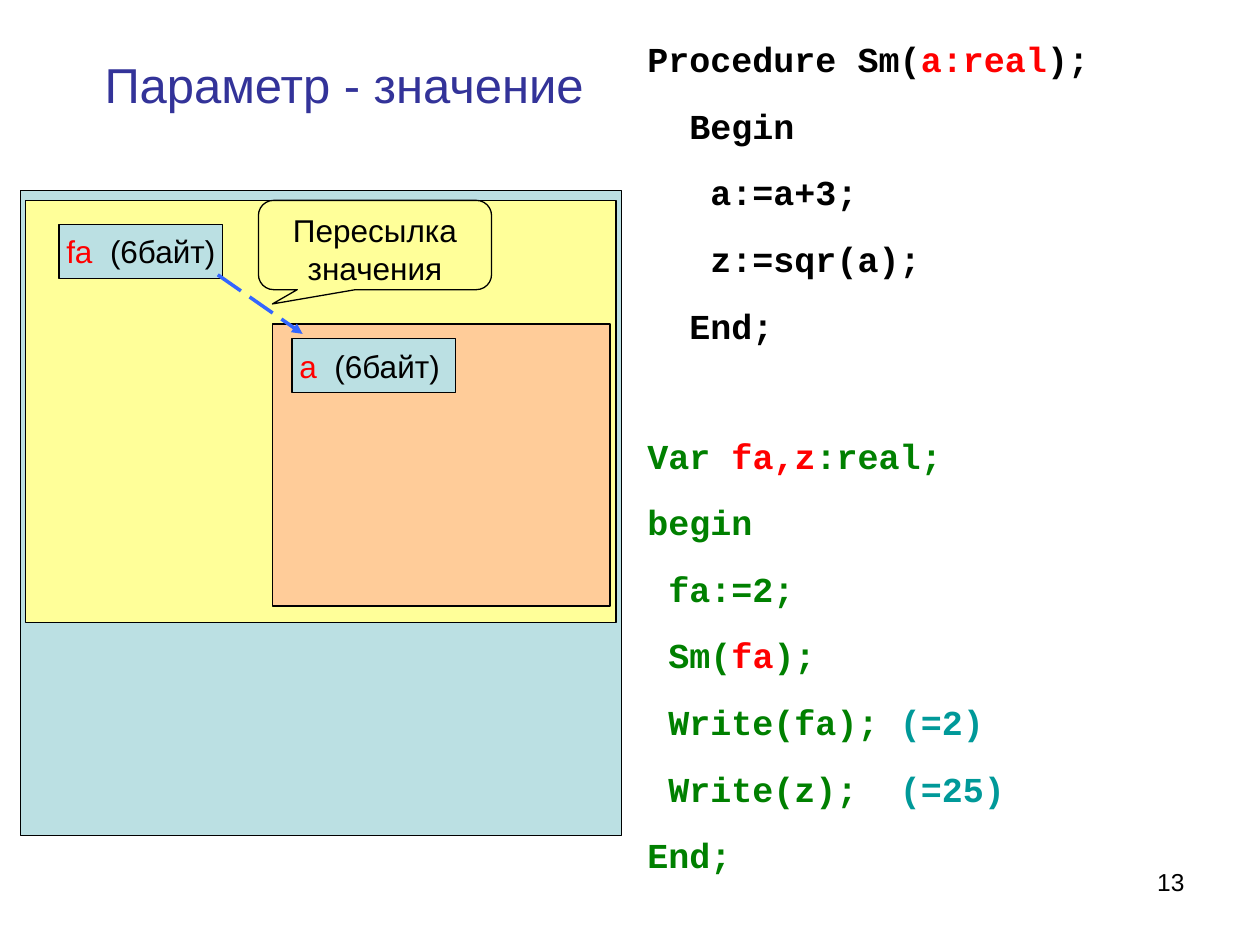
from lxml import etree
from pptx import Presentation
from pptx.dml.color import RGBColor
from pptx.enum.dml import MSO_LINE
from pptx.enum.shapes import MSO_CONNECTOR, MSO_SHAPE
from pptx.enum.text import MSO_ANCHOR, MSO_AUTO_SIZE, PP_ALIGN
from pptx.oxml.ns import qn
from pptx.util import Cm, Pt

RECTANGLE = MSO_SHAPE.RECTANGLE
CALLOUT = MSO_SHAPE.ROUNDED_RECTANGULAR_CALLOUT
STRAIGHT = MSO_CONNECTOR.STRAIGHT
LONG_DASH = MSO_LINE.LONG_DASH
LEFT, CENTER, RIGHT = PP_ALIGN.LEFT, PP_ALIGN.CENTER, PP_ALIGN.RIGHT
TOP, MIDDLE = MSO_ANCHOR.TOP, MSO_ANCHOR.MIDDLE
NO_AUTOFIT = MSO_AUTO_SIZE.NONE

BLACK, RED, GREEN, TEAL = "000000", "FF0000", "008000", "009999"
INDIGO, BLUE = "333399", "3366FF"
PALE_BLUE, YELLOW, ORANGE = "BBE0E3", "FFFF99", "FFCC99"

LINE_GAP = 14
SECTION_GAP = 50.5

# Each code line is a list of (text, colour) runs.
PROCEDURE_LINES = [
    [("Procedure Sm(", BLACK), ("a:real", RED), (");", BLACK)],
    [("  Begin", BLACK)],
    [("   a:=a+3;", BLACK)],
    [("   z:=sqr(a);", BLACK)],
    [("  End;", BLACK)],
]
PROGRAM_LINES = [
    [("Var ", GREEN), ("fa,z", RED), (":real;", GREEN)],
    [("begin", GREEN)],
    [(" fa:=2;", GREEN)],
    [(" Sm(", GREEN), ("fa", RED), (");", GREEN)],
    [(" Write(fa); ", GREEN), ("(=2)", TEAL)],
    [(" Write(z);  ", GREEN), ("(=25)", TEAL)],
    [("End;", GREEN)],
]


def color(hex_string):
    return RGBColor.from_string(hex_string)


def write_text(shape, lines, size=18, font="Arial", bold=False, align=CENTER,
               anchor=TOP, wrap=True, gaps=None):
    """Fill a shape with lines of (text, colour) runs; gaps are points before each line."""
    frame = shape.text_frame
    frame.auto_size = NO_AUTOFIT
    frame.word_wrap = wrap
    frame.vertical_anchor = anchor
    for index, runs in enumerate(lines):
        paragraph = frame.add_paragraph() if index else frame.paragraphs[0]
        paragraph.alignment = align
        paragraph.space_before = Pt(gaps[index] if gaps else 0)
        for text, run_color in runs:
            run = paragraph.add_run()
            run.text = text
            run.font.name = font
            run.font.size = Pt(size)
            run.font.bold = bold
            run.font.color.rgb = color(run_color)


class SlideBuilder:
    """Holds the outline style and the current slide; lengths are in centimetres."""

    outline_color = BLACK
    outline_width = 0.75

    def __init__(self, presentation):
        self.slide = presentation.slides.add_slide(presentation.slide_layouts[5])

    def title(self, text, left, top, width, height):
        title = self.slide.shapes.title
        title.left, title.top = Cm(left), Cm(top)
        title.width, title.height = Cm(width), Cm(height)
        write_text(title, [[(text, INDIGO)]], size=28, anchor=MIDDLE)

    def box(self, left, top, width, height, fill=None, kind=RECTANGLE):
        shape = self.slide.shapes.add_shape(
            kind, Cm(left), Cm(top), Cm(width), Cm(height))
        shape.shadow.inherit = False
        if fill:
            shape.fill.solid()
            shape.fill.fore_color.rgb = color(fill)
        else:
            shape.fill.background()
        shape.line.color.rgb = color(self.outline_color)
        shape.line.width = Pt(self.outline_width)
        return shape

    def variable(self, name, note, left, top):
        shape = self.box(left, top, 3.3, 1.09, PALE_BLUE)
        write_text(shape, [[(name, RED), (note, BLACK)]], anchor=MIDDLE, wrap=False)

    def callout(self, text, left, top, width, height, adjustments):
        shape = self.box(left, top, width, height, kind=CALLOUT)
        for index, value in enumerate(adjustments):
            shape.adjustments[index] = value
        write_text(shape, [[(text, BLACK)]])

    def text(self, lines, left, top, width, height, **text_format):
        shape = self.slide.shapes.add_textbox(
            Cm(left), Cm(top), Cm(width), Cm(height))
        write_text(shape, lines, **text_format)

    def dashed_arrow(self, start_x, start_y, end_x, end_y):
        arrow = self.slide.shapes.add_connector(
            STRAIGHT, Cm(start_x), Cm(start_y), Cm(end_x), Cm(end_y))
        arrow.line.color.rgb = color(BLUE)
        arrow.line.width = Pt(2)
        arrow.line.dash_style = LONG_DASH
        properties = arrow._element.spPr
        etree.SubElement(properties.find(qn("a:ln")), qn("a:tailEnd"), type="triangle")
        etree.SubElement(properties, qn("a:effectLst"))


def main():
    presentation = Presentation()
    presentation.slide_width, presentation.slide_height = Cm(25.4), Cm(19.05)
    builder = SlideBuilder(presentation)

    builder.title("Параметр - значение", 1.27, 0.76, 11.33, 1.85)

    # Nested memory areas
    builder.box(0.41, 3.84, 12.12, 13, PALE_BLUE)
    builder.box(0.51, 4.04, 11.91, 8.51, YELLOW)
    builder.box(5.49, 6.53, 6.81, 5.69, ORANGE)
    builder.variable("fa  ", "(6байт)", 1.19, 4.52)
    builder.variable("a  ", "(6байт) ", 5.89, 6.83)

    code_lines = PROCEDURE_LINES + PROGRAM_LINES
    gaps = [LINE_GAP] * len(code_lines)
    gaps[0] = 0
    gaps[len(PROCEDURE_LINES)] = SECTION_GAP
    builder.text(code_lines, 12.8, 0.64, 11.61, 16.56, size=20,
                 font="Courier New", bold=True, align=LEFT, gaps=gaps)

    builder.dashed_arrow(4.39, 5.54, 6.1, 6.73)
    builder.callout("Пересылка значения", 5.21, 4.04, 4.7, 1.8, (-0.44, 0.66, 0.17))
    builder.text([[("13", BLACK)]], 18.21, 17.35, 5.92, 1.32, size=14, align=RIGHT)

    presentation.save("out.pptx")


if __name__ == "__main__":
    main()
